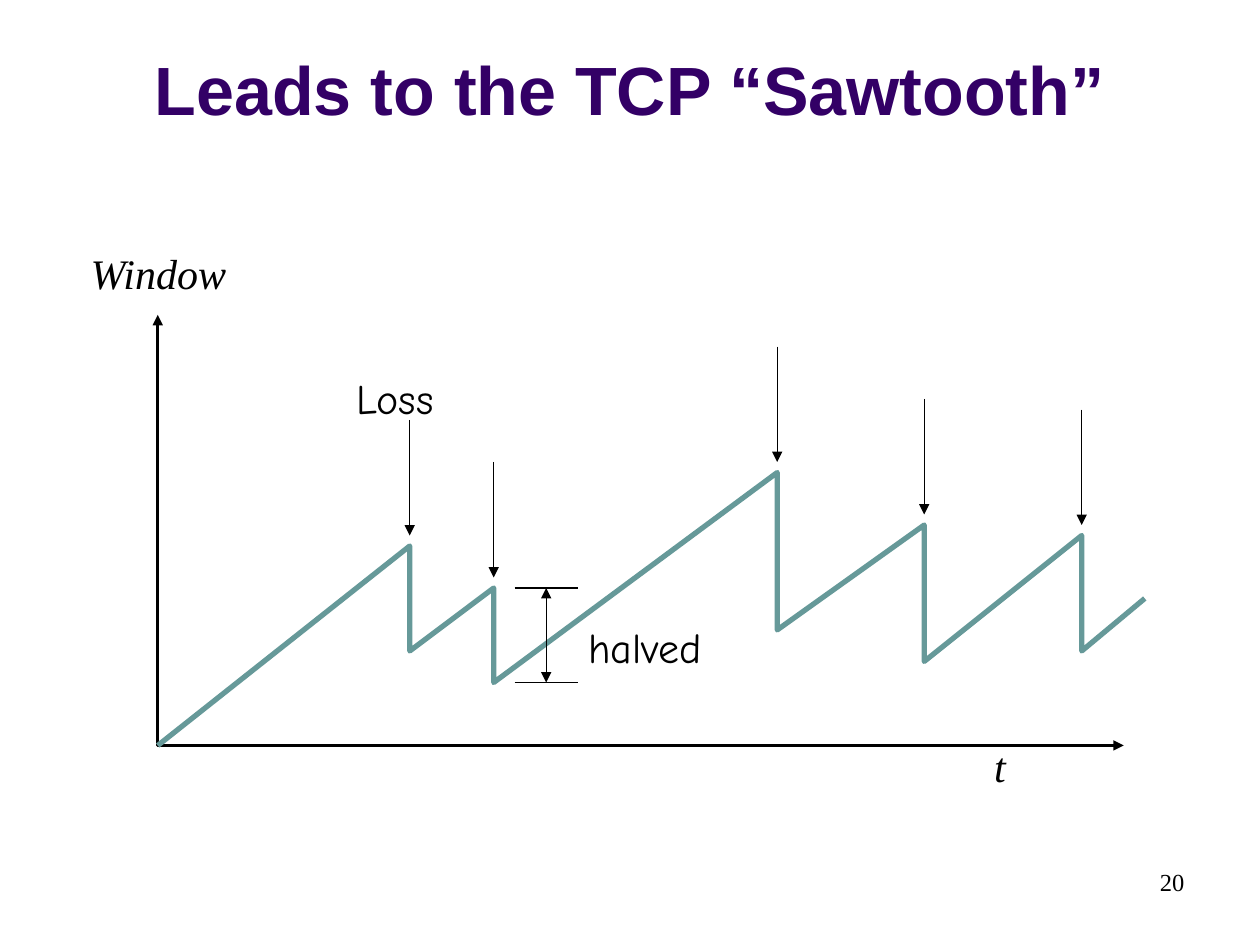
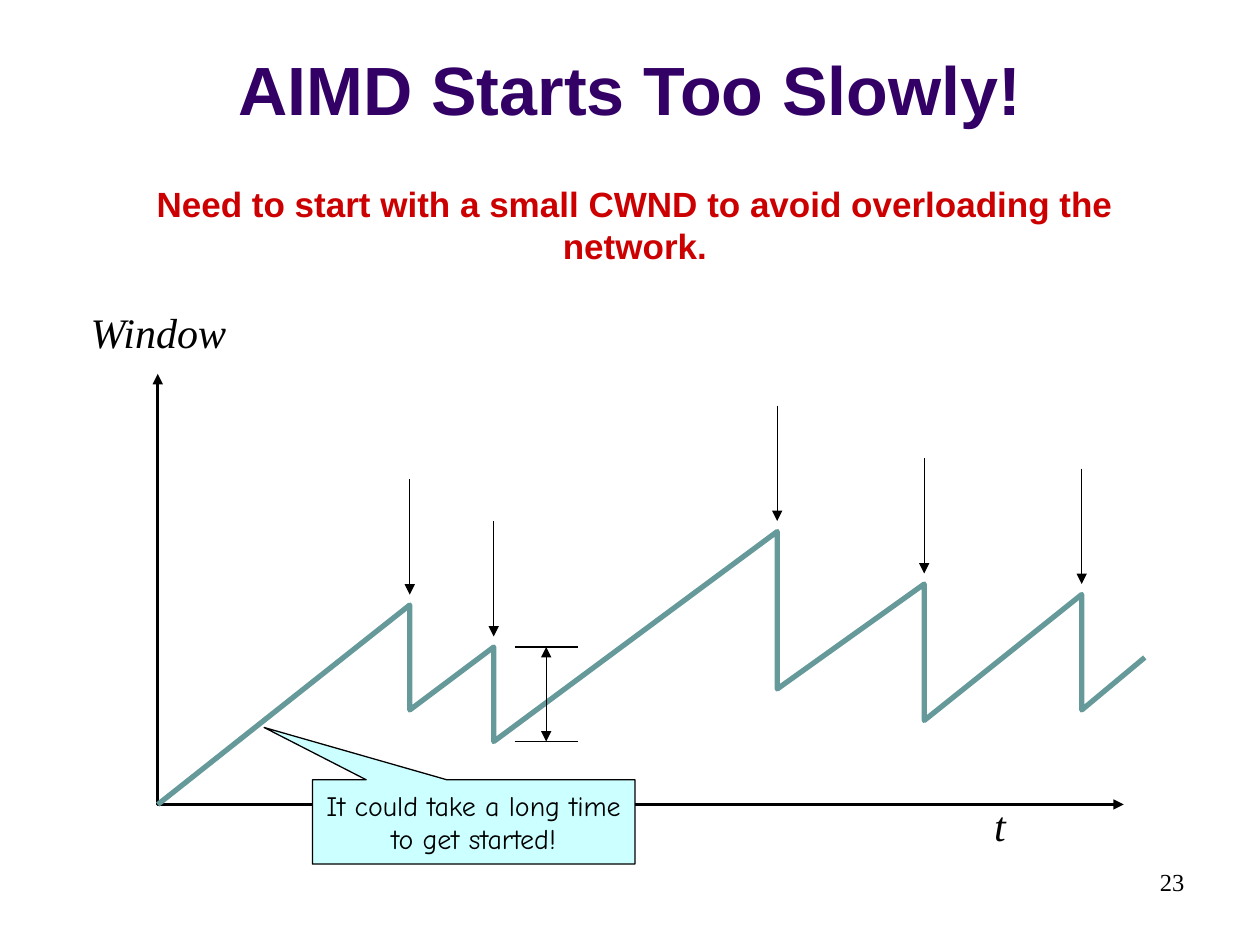
from lxml import etree
from pptx import Presentation
from pptx.dml.color import RGBColor
from pptx.enum.shapes import MSO_CONNECTOR as Connector, MSO_SHAPE as Shape
from pptx.enum.text import MSO_ANCHOR as Anchor, MSO_AUTO_SIZE as AutoSize, PP_ALIGN as Align
from pptx.oxml.ns import qn
from pptx.util import Cm, Pt

COLOURS = {
    "title": "330066",
    "ink": "000000",
    "sawtooth": "669999",
    "warning": "CC0000",
    "callout": "CCFFFF",
}
FORMATS = {
    "title": {"name": "Arial", "size": Pt(39), "bold": True},
    "warning": {"name": "Arial", "size": Pt(20), "bold": True},
    "axis": {"name": "Times New Roman", "size": Pt(24), "italic": True},
    "number": {"name": "Times New Roman", "size": Pt(14)},
    "label": {"name": "Comic Neue", "size": Pt(24)},
    "callout": {"name": "Comic Neue", "size": Pt(16)},
}
STEP = Cm(2.54) / 12
ORIGIN = (0, 41)
PEAKS = [(24, 22), (32, 26), (59, 15), (73, 20), (88, 21)]
TROUGHS = [32, 35, 30, 33, 32]
LAST_POINT = (94, 27)
BRACKET_LEFT, BRACKET_MIDDLE, BRACKET_RIGHT = 34, 37, 40
CHART_LEFT = Cm(3.18)


def colour(name):
    return RGBColor.from_string(COLOURS[name])


def write(text_frame, text, style, ink="ink", align=Align.LEFT):
    text_frame.text = text
    paragraph = text_frame.paragraphs[0]
    paragraph.alignment = align
    for attribute, value in FORMATS[style].items():
        setattr(paragraph.font, attribute, value)
    paragraph.font.color.rgb = colour(ink)


def add_text(slide, box, text, style, ink="ink", align=Align.LEFT, wrap=True, grow=True):
    text_frame = slide.shapes.add_textbox(*box).text_frame
    text_frame.word_wrap = wrap
    text_frame.auto_size = AutoSize.SHAPE_TO_FIT_TEXT if grow else AutoSize.NONE
    write(text_frame, text, style, ink, align)


def set_line(shape, width, ink="ink", ends=()):
    shape.line.width = Pt(width)
    shape.line.color.rgb = colour(ink)
    outline = shape.line._get_or_add_ln()
    for end in ends:
        etree.SubElement(outline, qn(f"a:{end}")).set("type", "triangle")


def add_line(slide, start, finish, ends=()):
    connector = slide.shapes.add_connector(Connector.STRAIGHT, *start, *finish)
    set_line(connector, 0.75, ends=ends)
    etree.SubElement(connector._element.spPr, qn("a:effectLst"))


def add_outline(slide, points, width, ink="ink", ends=()):
    builder = slide.shapes.build_freeform(*points[0])
    builder.add_line_segments(points[1:], close=False)
    shape = builder.convert_to_shape()
    shape.fill.background()
    shape.shadow.inherit = False
    set_line(shape, width, ink, ends)


def add_label(slide, left, top, box, text, style):
    x, y, width = box
    add_text(slide, (left + Cm(x), top + Cm(y), Cm(width), Cm(1.27)), text, style, wrap=False)


def add_sawtooth(slide, left, top):
    def at(x, y):
        return round(left + x * STEP), round(top + y * STEP)

    axes = [at(0, 0), at(*ORIGIN), at(92, ORIGIN[1])]
    add_outline(slide, axes, 1.5, ends=("headEnd", "tailEnd"))

    window = [at(*ORIGIN)]
    for (x, peak), trough in zip(PEAKS, TROUGHS):
        window += [at(x, peak), at(x, trough)]
    add_outline(slide, window + [at(*LAST_POINT)], 3, "sawtooth")

    add_label(slide, left, top, (16.61, 8.46, 0.74), "t", "axis")
    add_label(slide, left, top, (-1.6, -1.48, 3.28), "Window", "axis")

    halving = PEAKS[1][1], TROUGHS[1]
    for y in halving:
        add_line(slide, at(BRACKET_LEFT, y), at(BRACKET_RIGHT, y))
    high, low = (at(BRACKET_MIDDLE, y) for y in halving)
    add_line(slide, high, low, ("headEnd", "tailEnd"))

    for x, peak in PEAKS:
        add_line(slide, at(x, peak - 12), at(x, peak - 1), ("tailEnd",))


def add_callout(slide, left, top, text):
    shape = slide.shapes.add_shape(
        Shape.RECTANGULAR_CALLOUT, left + Cm(3.12), top + Cm(8.18), Cm(6.5), Cm(1.7))
    shape.adjustments[0], shape.adjustments[1] = -0.65, -1.12
    shape.shadow.inherit = False
    shape.fill.solid()
    shape.fill.fore_color.rgb = colour("callout")
    set_line(shape, 0.75)
    shape.text_frame.word_wrap = True
    write(shape.text_frame, text, "callout", align=Align.CENTER)


def add_titled_slide(presentation, title, number):
    slide = presentation.slides.add_slide(presentation.slide_layouts[5])
    placement = {"left": 0, "top": Cm(0.33), "width": presentation.slide_width, "height": Cm(2.41)}
    for attribute, value in placement.items():
        setattr(slide.shapes.title, attribute, value)
    text_frame = slide.shapes.title.text_frame
    text_frame.vertical_anchor = Anchor.BOTTOM
    text_frame.auto_size = AutoSize.NONE
    write(text_frame, title, "title", "title", Align.CENTER)
    add_text(slide, (Cm(18.21), Cm(17.35), Cm(5.92), Cm(1.27)), number, "number",
             align=Align.RIGHT, grow=False)
    return slide


def build_sawtooth_slide(presentation):
    slide = add_titled_slide(presentation, "Leads to the TCP “Sawtooth”", "20")
    top = Cm(6.35)
    add_sawtooth(slide, CHART_LEFT, top)
    add_label(slide, CHART_LEFT, top, (8.43, 6.05, 3.05), "halved", "label")
    add_label(slide, CHART_LEFT, top, (3.76, 1.04, 2.26), "Loss", "label")


def build_slow_start_slide(presentation):
    slide = add_titled_slide(presentation, "AIMD Starts Too Slowly!", "23")
    top = Cm(7.54)
    add_sawtooth(slide, CHART_LEFT, top)
    add_callout(slide, CHART_LEFT, top, "It could take a long time to get started!")
    add_text(slide, (Cm(1.37), Cm(3.56), Cm(22.86), Cm(1.09)),
             "Need to start with a small CWND to avoid overloading the network.",
             "warning", "warning", Align.CENTER)


def main():
    presentation = Presentation()
    presentation.slide_width, presentation.slide_height = Cm(25.4), Cm(19.05)
    build_sawtooth_slide(presentation)
    build_slow_start_slide(presentation)
    presentation.save("out.pptx")


if __name__ == "__main__":
    main()
